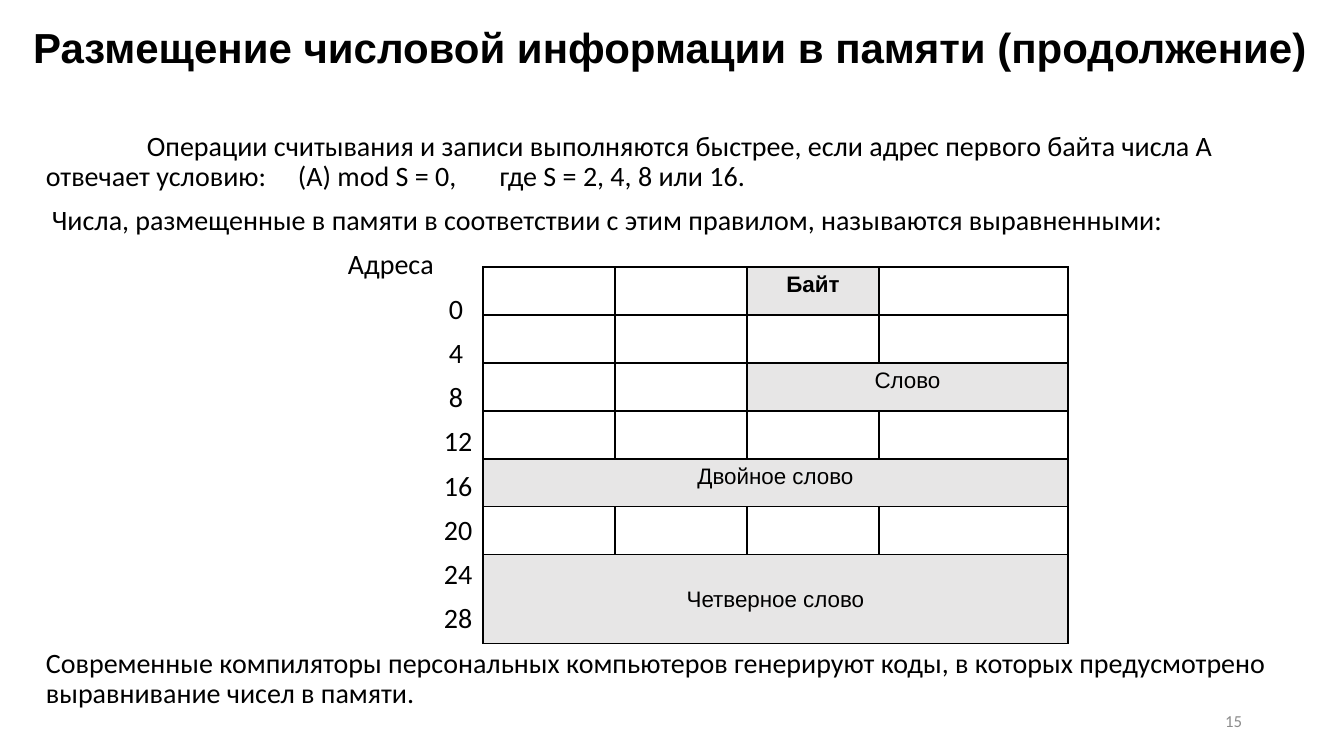
from dataclasses import dataclass
from typing import NamedTuple

from lxml.etree import SubElement
from pptx import Presentation
from pptx.dml.color import RGBColor
from pptx.enum.text import MSO_ANCHOR as Anchor, PP_ALIGN as Align
from pptx.oxml import parse_xml
from pptx.oxml.ns import nsdecls, qn
from pptx.util import Emu, Pt

PIXEL = 914400 / 100.8


def px(length: int) -> Emu:
    return Emu(round(length * PIXEL))


@dataclass(frozen=True)
class TextStyle:
    font: str
    size: int
    color: str = "000000"
    bold: bool = False


@dataclass(frozen=True)
class Theme:
    title: TextStyle = TextStyle("Arial", 30, bold=True)
    body: TextStyle = TextStyle("Calibri", 20)
    number: TextStyle = TextStyle("Calibri", 12, "8C8C8C")
    cell: TextStyle = TextStyle("Arial", 16)
    byte: TextStyle = TextStyle("Arial", 16, bold=True)
    empty: str = "FFFFFF"
    used: str = "E7E6E6"
    border: str = "000000"


class Line(NamedTuple):
    text: str
    indent: int = 0
    tabs: tuple[int, ...] = ()


class Block(NamedTuple):
    row: int
    column: int
    last_column: int
    text: str
    style: TextStyle
    anchor: Anchor = Anchor.TOP


THEME = Theme()

ADDRESSES = [Line(str(address), 403 if address < 10 else 398) for address in range(0, 32, 4)]
BODY = [
    Line("Операции считывания и записи выполняются быстрее, если адрес первого байта "
         "числа A отвечает условию:\t(A) mod S = 0,\tгде S = 2, 4, 8 или 16.", 101, (258, 436)),
    Line("Числа, размещенные в памяти в соответствии с этим правилом, "
         "называются выравненными:", 6),
    Line("Адреса", 302),
    *ADDRESSES,
    Line("Современные компиляторы персональных компьютеров генерируют коды, "
         "в которых предусмотрено выравнивание чисел в памяти."),
]

COLUMN_WIDTHS = [132] * 3 + [189]
ROW_HEIGHTS = [48] * 6 + [89]
BLOCKS = [
    Block(0, 2, 2, "Байт", THEME.byte),
    Block(2, 2, 3, "Слово", THEME.cell),
    Block(4, 0, 3, "Двойное слово", THEME.cell),
    Block(6, 0, 3, "Четверное слово", THEME.cell, Anchor.MIDDLE),
]


def style_paragraph(para, style: TextStyle, align: Align) -> None:
    para.alignment = align
    para.font.name = style.font
    para.font.size = Pt(style.size)
    para.font.bold = style.bold
    para.font.color.rgb = RGBColor.from_string(style.color)


def add_text(page, left: int, top: int, width: int, height: int, lines: list[Line],
             style: TextStyle, align: Align, anchor: Anchor, spacing: float = 1.0) -> None:
    box = page.shapes.add_textbox(px(left), px(top), px(width), px(height))
    frame = box.text_frame
    frame.word_wrap = True
    frame.vertical_anchor = anchor
    for index, line in enumerate(lines):
        para = frame.add_paragraph() if index else frame.paragraphs[0]
        para.add_run().text = line.text
        para.line_spacing = spacing
        para.space_before = Pt(10 if index else 0)
        properties = para._p.get_or_add_pPr()
        properties.set("marL", "0")
        properties.set("indent", str(px(line.indent)))
        if line.tabs:
            stops = SubElement(properties, qn("a:tabLst"))
            for stop in line.tabs:
                SubElement(stops, qn("a:tab"), pos=str(px(stop)), algn="l")
        style_paragraph(para, style, align)


def paint_cell(cell, fill: str) -> None:
    cell.fill.solid()
    cell.fill.fore_color.rgb = RGBColor.from_string(fill)
    properties = cell._tc.get_or_add_tcPr()
    for index, side in enumerate(("lnL", "lnR", "lnT", "lnB")):
        properties.insert(index, parse_xml(
            f'<a:{side} {nsdecls("a")} w="{Pt(1)}"><a:solidFill>'
            f'<a:srgbClr val="{THEME.border}"/></a:solidFill></a:{side}>'))


def add_memory_table(page, left: int, top: int) -> None:
    table = page.shapes.add_table(
        len(ROW_HEIGHTS), len(COLUMN_WIDTHS), px(left), px(top),
        px(sum(COLUMN_WIDTHS)), px(sum(ROW_HEIGHTS))).table
    table.first_row = table.horz_banding = False
    for column, width in zip(table.columns, COLUMN_WIDTHS):
        column.width = px(width)
    for row, height in zip(table.rows, ROW_HEIGHTS):
        row.height = px(height)

    used = {(block.row, column) for block in BLOCKS
            for column in range(block.column, block.last_column + 1)}
    for row in range(len(ROW_HEIGHTS)):
        for column in range(len(COLUMN_WIDTHS)):
            fill = THEME.used if (row, column) in used else THEME.empty
            paint_cell(table.cell(row, column), fill)

    for block in BLOCKS:
        cell = table.cell(block.row, block.column)
        if block.last_column > block.column:
            cell.merge(table.cell(block.row, block.last_column))
        cell.text = block.text
        cell.vertical_anchor = block.anchor
        style_paragraph(cell.text_frame.paragraphs[0], block.style, Align.CENTER)


deck = Presentation()
deck.slide_width, deck.slide_height = px(1344), px(756)
page = deck.slides.add_slide(deck.slide_layouts[6])

# Title
add_text(page, 8, 21, 1325, 57, [Line("Размещение числовой информации в памяти (продолжение)")],
         THEME.title, Align.CENTER, Anchor.MIDDLE, 0.9)

# Explanation and address column
add_text(page, 36, 127, 1269, 604, BODY, THEME.body, Align.LEFT, Anchor.TOP, 0.9)

# Slide number
add_text(page, 950, 701, 302, 40, [Line("15")], THEME.number, Align.RIGHT, Anchor.MIDDLE)

# Memory layout
add_memory_table(page, 483, 267)

deck.save("out.pptx")
